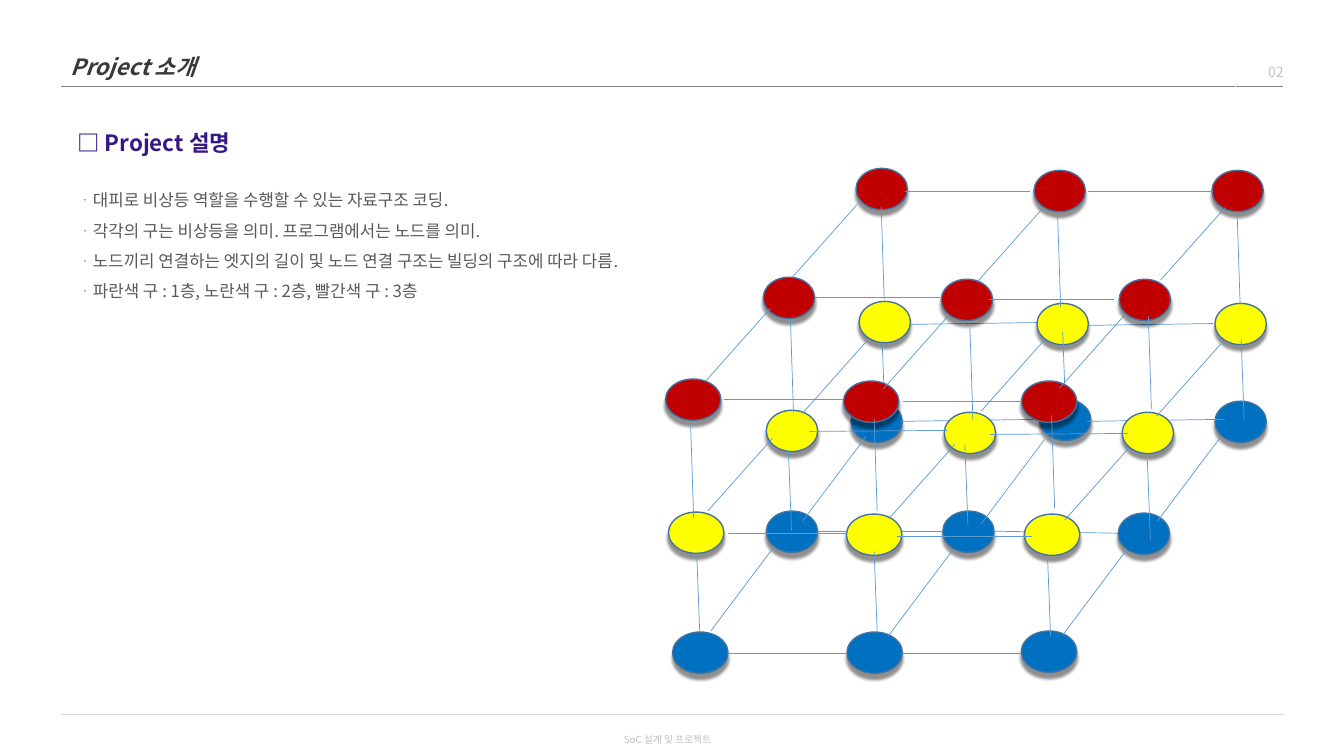
import pptx
import pptx.dml.color
import pptx.enum.shapes
import pptx.enum.text
import pptx.oxml
import pptx.oxml.ns
import pptx.util

Inches = pptx.util.Inches
Pt = pptx.util.Pt
RGB = pptx.dml.color.RGBColor
ALIGN = pptx.enum.text.PP_ALIGN
ANCHOR = pptx.enum.text.MSO_ANCHOR

FONT = "Noto Sans CJK KR"
BLUE = RGB(0x00, 0x70, 0xC0)
YELLOW = RGB(0xFF, 0xFF, 0x00)
RED = RGB(0xC0, 0x00, 0x00)
OUTLINE = RGB(0x43, 0x73, 0x9E)
EDGE = RGB(0x5B, 0x9B, 0xD5)
TITLE = RGB(0x3B, 0x38, 0x38)
HEADING = RGB(0x34, 0x18, 0x86)
BODY = RGB(0x59, 0x59, 0x59)
PALE = RGB(0xBF, 0xBF, 0xBF)
HEAD_RULE = RGB(0x80, 0x80, 0x80)
FOOT_RULE = RGB(0xD9, 0xD9, 0xD9)

NS = 'xmlns:a="http://schemas.openxmlformats.org/drawingml/2006/main"'
SHADOW = (f'<a:effectLst {NS}><a:outerShdw blurRad="25400" dist="50800" dir="5400000" '
          'algn="ctr" rotWithShape="0"><a:srgbClr val="000000"><a:alpha val="43000"/>'
          '</a:srgbClr></a:outerShdw></a:effectLst>')

BULLETS = [
    "ᆞ대피로 비상등 역할을 수행할 수 있는 자료구조 코딩.",
    "ᆞ각각의 구는 비상등을 의미. 프로그램에서는 노드를 의미.",
    "ᆞ노드끼리 연결하는 엣지의 길이 및 노드 연결 구조는 빌딩의 구조에 따라 다름.",
    "ᆞ파란색 구 : 1층, 노란색 구 : 2층, 빨간색 구 : 3층",
]

NODE_H = 0.41
ROW_WIDTHS = [0.55, 0.51, 0.51]  # front, middle, back
NODE_STEP = 1.765
FLOOR_2_ROWS = [(6.63, 5.08), (7.6, 4.07), (8.52, 2.99)]
FLOOR_SHIFT = (-0.03, -1.32)  # third floor relative to the second

FLOOR_1_NODES = [
    [(6.67, 6.27), (8.4, 6.27), (10.13, 6.26)],
    [(7.6, 5.07), (9.35, 5.07), (11.09, 5.09)],
    [(8.44, 3.98), (10.31, 3.96), (12.05, 3.98)],
]

# Each group: the offset of an edge, then the start points that share it.
BACK_EDGES = [((1.37, -0.02), [(8.92, 3.22), (10.66, 3.23)])]
FLOOR_1_EDGES = [
    ((-0.63, 0.84), [(7.68, 5.42), (9.44, 5.47), (11.17, 5.46),
                     (12.11, 4.33), (10.36, 4.36), (8.59, 4.33)]),
    ((1.18, 0), [(7.22, 6.48), (8.95, 6.48)]),
    ((1.25, 0), [(8.1, 5.27)]),
    ((1.24, 0.02), [(9.85, 5.27)]),
    ((1.37, -0.02), [(8.94, 4.18), (10.78, 4.18)]),
]
FLOOR_2_EDGES = [
    ((0.03, 0.79), [(6.91, 5.48), (8.67, 5.47), (10.39, 5.52),
                    (7.82, 4.47), (9.57, 4.41), (11.38, 4.57),
                    (8.75, 3.4), (10.54, 3.29), (12.31, 3.37)]),
    ((1.18, 0), [(7.22, 5.29)]),
    ((1.34, 0), [(8.9, 5.32)]),
    ((-0.64, 0.72), [(11.2, 4.44), (12.11, 3.41), (7.66, 4.35),
                     (8.6, 3.38), (9.47, 4.41), (10.37, 3.36)]),
    ((1.37, -0.01), [(8.03, 4.28), (9.82, 4.31)]),
]
FLOOR_3_EDGES = [
    ((0.03, 0.92), [(6.85, 4.22), (8.67, 4.15), (10.43, 4.12),
                    (7.84, 3.17), (9.62, 3.25), (11.39, 3.14),
                    (12.27, 2.1), (10.49, 2.13), (8.74, 2.05)]),
    ((-0.64, 0.72), [(7.64, 3.06), (8.5, 2.03), (10.33, 2.08),
                     (9.4, 3.14), (12.15, 2.06), (11.15, 3.13)]),
    ((1.18, 0), [(7.18, 3.96), (8.96, 3.98)]),
    ((1.24, 0), [(8.08, 2.95), (9.81, 2.97), (8.98, 1.9), (10.79, 1.9)]),
]


def write(p, text, **fmt):
    r = p.add_run()
    r.text = text
    color = fmt.pop("color")
    for name, value in {"name": FONT, **fmt}.items():
        setattr(r.font, name, value)
    r.font.color.rgb = color
    ea = pptx.oxml.parse_xml(f'<a:ea {NS} typeface="{FONT}"/>')
    r.font._element.find(pptx.oxml.ns.qn("a:latin")).addnext(ea)


def add_strip(s, top, height, widths, side, rule):
    """Add a one-row table with a rule on one side ("T" or "B"); return its cells."""
    frame = s.shapes.add_table(1, len(widths), Inches(0.6), Inches(top),
                               Inches(sum(widths)), Inches(height))
    table = frame.table
    table.first_row = table.horz_banding = False
    for column, width in zip(table.columns, widths):
        column.width = Inches(width)
    cells = list(table.rows[0].cells)
    for cell in cells:
        cell.fill.background()
        cell.vertical_anchor = ANCHOR.MIDDLE
        border = pptx.oxml.parse_xml(
            f'<a:ln{side} {NS} w="9525"><a:solidFill><a:srgbClr val="{rule}"/>'
            f'</a:solidFill></a:ln{side}>')
        cell._tc.get_or_add_tcPr().insert(0, border)
    return cells


def add_header(s):
    title, number = add_strip(s, 0.28, 0.41, [11.65, 0.48], "B", HEAD_RULE)
    p = title.text_frame.paragraphs[0]
    p.line_spacing = 1.5
    write(p, "Project 소개", size=Pt(16), bold=True, italic=True, color=TITLE)
    number.vertical_anchor = ANCHOR.BOTTOM
    number.margin_right = 0
    p = number.text_frame.paragraphs[0]
    p.alignment = ALIGN.RIGHT
    write(p, "02", size=Pt(10), color=PALE)


def add_footer(s):
    cell, = add_strip(s, 7.09, 0.41, [12.14], "T", FOOT_RULE)
    cell.margin_left = 0
    p = cell.text_frame.paragraphs[0]
    for name, value in {"alignment": ALIGN.CENTER, "line_spacing": 1.5}.items():
        setattr(p, name, value)
    write(p, "SoC 설계 및 프로젝트", size=Pt(7), color=PALE)


def add_description(s):
    tf = s.shapes.add_textbox(Inches(0.67), Inches(1.1), Inches(8), Inches(2.12)).text_frame
    tf.word_wrap = True
    p = tf.paragraphs[0]
    p.line_spacing = 1.5
    write(p, "□ Project 설명", size=Pt(16), bold=True, color=HEADING)
    for i, text in enumerate(BULLETS):
        p = tf.add_paragraph()
        p.line_spacing = 1.5
        p.space_before = Pt(0 if i else 17)
        write(p, text, size=Pt(12), color=BODY)


def add_node(s, x, y, width, color):
    sp = s.shapes.add_shape(pptx.enum.shapes.MSO_SHAPE.OVAL, Inches(x), Inches(y),
                            Inches(width), Inches(NODE_H))
    sp.fill.solid()
    sp.fill.fore_color.rgb = color
    sp.line.color.rgb = OUTLINE
    sp.line.width = Pt(1)
    sp._element.spPr.append(pptx.oxml.parse_xml(SHADOW))


def add_edges(s, groups):
    for (dx, dy), starts in groups:
        for x, y in starts:
            line = s.shapes.add_connector(
                pptx.enum.shapes.MSO_CONNECTOR.STRAIGHT,
                Inches(x), Inches(y), Inches(x + dx), Inches(y + dy))
            line.line.color.rgb = EDGE
            line.line.width = Pt(0.5)
            line._element.spPr.append(pptx.oxml.parse_xml(f"<a:effectLst {NS}/>"))


def add_floor(s, rows, color, edges):
    for width, row in zip(ROW_WIDTHS, rows):
        for x, y in row:
            add_node(s, x, y, width, color)
    add_edges(s, edges)


def upper_floor(dx, dy):
    """Node positions of an upper floor; the first node of a row sits slightly higher."""
    return [[(x + dx + i * NODE_STEP, y + dy + (0.02 if i else 0)) for i in range(3)]
            for x, y in FLOOR_2_ROWS]


def main():
    prs = pptx.Presentation()
    prs.slide_width, prs.slide_height = Inches(13.33), Inches(7.5)
    s = prs.slides.add_slide(prs.slide_layouts[6])
    add_edges(s, BACK_EDGES)
    add_header(s)
    add_footer(s)
    add_description(s)
    add_floor(s, FLOOR_1_NODES, BLUE, FLOOR_1_EDGES)
    add_floor(s, upper_floor(0, 0), YELLOW, FLOOR_2_EDGES)
    add_floor(s, upper_floor(*FLOOR_SHIFT), RED, FLOOR_3_EDGES)
    prs.save("out.pptx")


if __name__ == "__main__":
    main()
